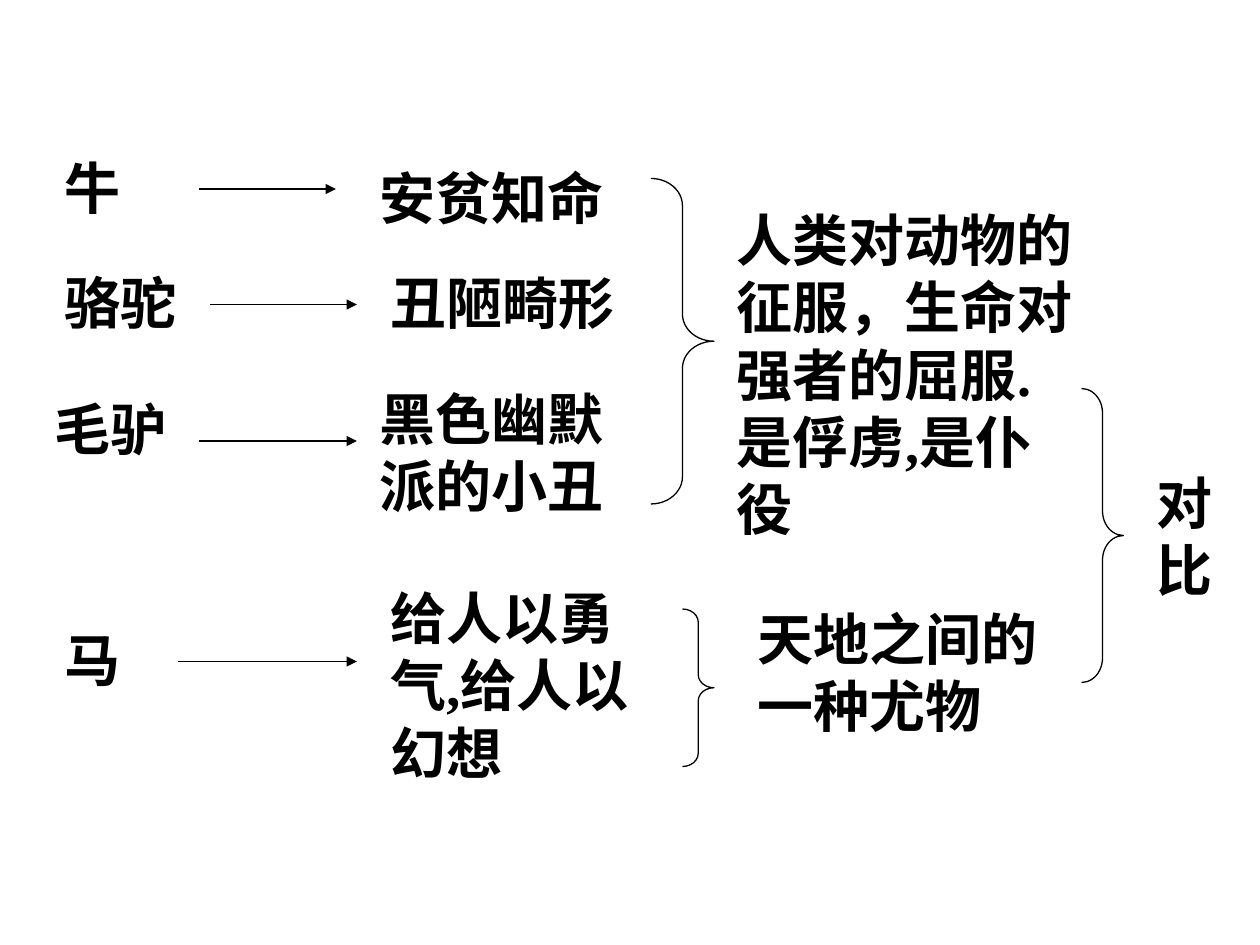
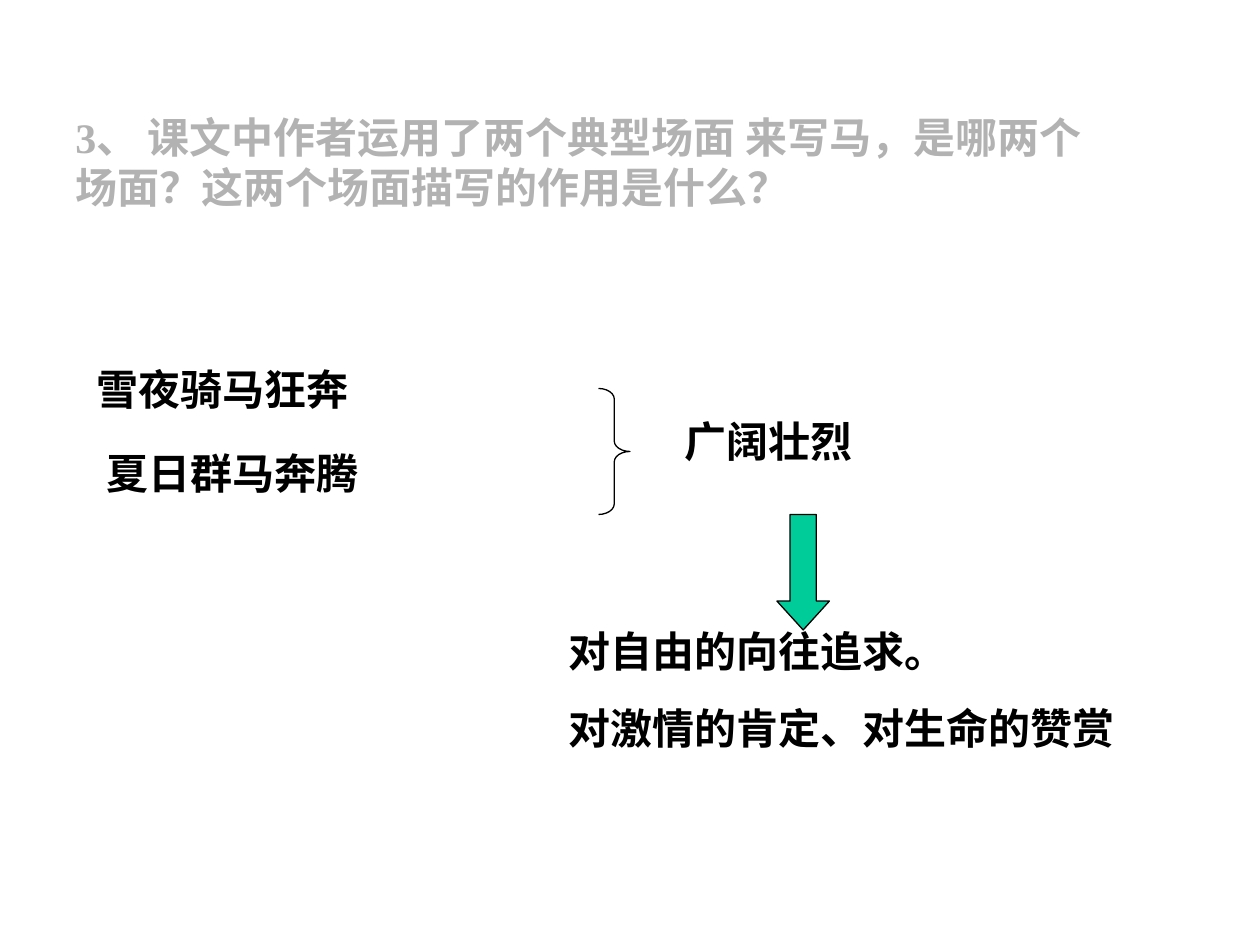
from lxml import etree
from pptx import Presentation
from pptx import util as u
from pptx.dml.color import RGBColor
from pptx.enum import shapes, text
from pptx.oxml.ns import qn

PX = 7620
FONT = "Times New Roman"
BLACK = RGBColor(0x00, 0x00, 0x00)
GRAY = RGBColor(0xB2, 0xB2, 0xB2)
GREEN = RGBColor(0x00, 0xCC, 0x99)
DIAGRAM_SIZE = 32
QUESTION_SIZE = 24
LINE_WIDTH = u.Pt(0.75)

ANIMALS = [
    ("牛", (0, 0, 150, 77), (140, 270, 40), "安贫知命", (300, 10, 260, 77)),
    ("骆驼", (0, 110, 140, 77), (150, 290, 150), "丑陋畸形", (310, 110, 270, 77)),
    ("毛驴", (-10, 230, 150, 77), (140, 290, 280), "黑色幽默派的小丑", (300, 220, 240, 140)),
    ("马", (0, 450, 160, 77), (120, 290, 490), "给人以勇气,给人以幻想", (310, 410, 270, 204)),
]


def place(box, left, top, width, height):
    """Return EMU lengths for a part placed relative to the box corner."""
    return [length * PX for length in (box[0] + left, box[1] + top, width, height)]


def add_text(slide, bounds, size, *lines, color=BLACK):
    """Add a bold wrapped text box with one paragraph per line."""
    frame = slide.shapes.add_textbox(*bounds).text_frame
    frame.word_wrap = True
    frame.auto_size = text.MSO_AUTO_SIZE.SHAPE_TO_FIT_TEXT
    frame.text = "\n".join(lines)
    for index, paragraph in enumerate(frame.paragraphs):
        if index:
            paragraph.space_before = u.Pt(size * 0.625)
        for run in paragraph.runs:
            run.font.name = FONT
            run.font.size = u.Pt(size)
            run.font.bold = True
            run.font.color.rgb = color
            run._r.get_or_add_rPr().set("lang", "zh-CN")


def style_line(line):
    """Give a line the shared colour and width."""
    line.color.rgb = BLACK
    line.width = LINE_WIDTH


def add_brace(slide, bounds):
    """Add a right brace whose curves take a twelfth of its height."""
    brace = slide.shapes.add_shape(shapes.MSO_SHAPE.RIGHT_BRACE, *bounds)
    brace.shadow.inherit = False
    brace.fill.background()
    style_line(brace.line)
    brace.adjustments[0] = brace.height / 12 / brace.width


def add_arrow(slide, bounds):
    """Add a horizontal arrow pointing right."""
    left, top, width, height = bounds
    arrow = slide.shapes.add_connector(
        shapes.MSO_CONNECTOR.STRAIGHT, left, top, left + width, top + height)
    style_line(arrow.line)
    etree.SubElement(arrow.line._get_or_add_ln(), qn("a:tailEnd"), type="triangle")
    etree.SubElement(arrow._element.spPr, qn("a:effectLst"))


def add_animals(slide, box):
    """Link each animal to its trait."""
    for name, name_area, (start, end, level), trait, trait_area in ANIMALS:
        add_text(slide, place(box, *name_area), DIAGRAM_SIZE, name)
        add_arrow(slide, place(box, start, level, end - start, 0))
        add_text(slide, place(box, *trait_area), DIAGRAM_SIZE, trait)


def add_conclusions(slide, box):
    """Gather the traits into two conclusions and their contrast."""
    for area in ((0, 0, 60, 310), (30, 410, 30, 150), (410, 200, 40, 280)):
        add_brace(slide, place(box, *area))
    for wording, area in (
            ("人类对动物的征服，生命对强者的屈服.是俘虏,是仆役", (70, 20, 350, 332)),
            ("天地之间的一种尤物", (90, 400, 300, 238)),
            ("对比", (470, 270, 110, 140))):
        add_text(slide, place(box, *area), DIAGRAM_SIZE, wording)


def add_question(slide, box):
    """Add the gray question."""
    add_text(slide, place(box, 0, 0, 1020, 108), QUESTION_SIZE,
             "3、 课文中作者运用了两个典型场面 来写马，是哪两个场面？这两个场面描写的作用是什么？",
             color=GRAY)


def add_scenes(slide, box):
    """Join the two scenes under their shared impression."""
    add_text(slide, place(box, 0, 0, 960, 60), QUESTION_SIZE, "雪夜骑马狂奔")
    add_text(slide, place(box, 10, 80, 800, 60), QUESTION_SIZE, "夏日群马奔腾")
    add_brace(slide, place(box, 490, 30, 30, 120))
    add_text(slide, place(box, 560, 50, 290, 60), QUESTION_SIZE, "广阔壮烈")


def add_meaning(slide, box):
    """Point a block arrow down to the meaning of the scenes."""
    arrow = slide.shapes.add_shape(
        shapes.MSO_SHAPE.DOWN_ARROW, *place(box, 210, 0, 50, 110))
    arrow.shadow.inherit = False
    arrow.fill.solid()
    arrow.fill.fore_color.rgb = GREEN
    style_line(arrow.line)
    arrow.adjustments[0] = 0.5
    arrow.adjustments[1] = 0.55
    add_text(slide, place(box, 0, 100, 600, 206), QUESTION_SIZE,
             "对自由的向往追求。", "对激情的肯定、对生命的赞赏")


def main():
    """Build both slides and save them."""
    presentation = Presentation()
    presentation.slide_width = 1200 * PX
    presentation.slide_height = 900 * PX
    blank = presentation.slide_layouts[6]

    contrast = presentation.slides.add_slide(blank)
    add_animals(contrast, (50, 140))
    add_conclusions(contrast, (620, 170))

    question = presentation.slides.add_slide(blank)
    add_question(question, (60, 100))
    add_scenes(question, (80, 340))
    add_meaning(question, (530, 490))
    presentation.save("out.pptx")


if __name__ == "__main__":
    main()
